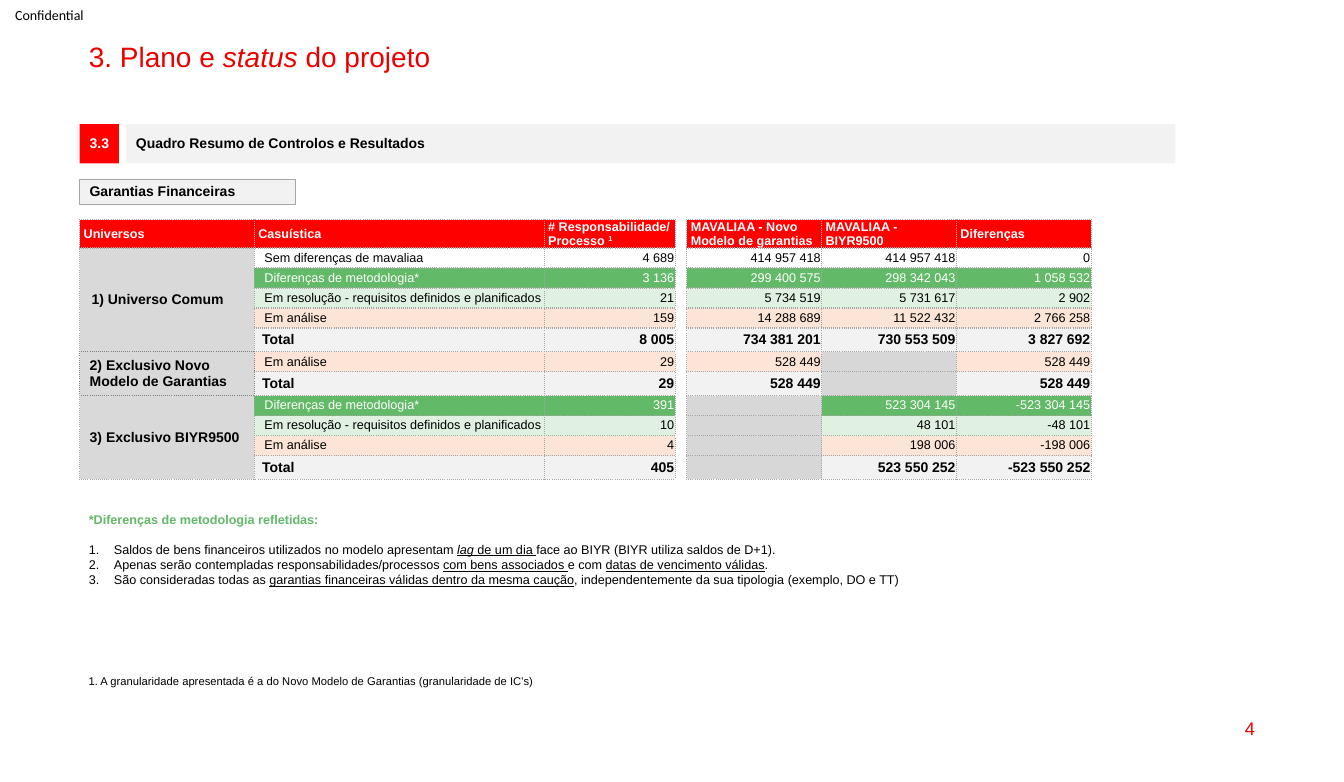
from dataclasses import dataclass
from typing import NamedTuple

from lxml.etree import SubElement
from pptx import Presentation
from pptx.dml.color import RGBColor
from pptx.enum.shapes import MSO_SHAPE
from pptx.enum.text import MSO_ANCHOR, MSO_AUTO_SIZE, PP_ALIGN
from pptx.oxml.ns import qn
from pptx.util import Pt

RED, TITLE_RED, GREEN = "FF0000", "EB0000", "62B967"
BLACK, WHITE = "000000", "FFFFFF"
PALE_GREEN, PEACH, PALE_GREY = "E0F1E1", "FCE4D6", "F2F2F2"
LABEL_GREY, EMPTY_GREY, BORDER, DARK_BORDER = "D9D9D9", "D7D7D7", "A6A6A6", "808080"


class Run(NamedTuple):
    text: str
    italic: bool = False
    underline: bool = False
    superscript: bool = False


class Area(NamedTuple):
    left: float
    top: float
    width: float
    height: float


@dataclass
class Style:
    size: float
    color: str = BLACK
    bold: bool = False
    align: PP_ALIGN = PP_ALIGN.LEFT
    font: str = "Arial"


class Case(NamedTuple):
    name: str
    fill: str | None


@dataclass
class Universe:
    label: str
    indent: float
    dark_sides: str
    rows: list[tuple[Case, list[str]]]


SAME = Case("Sem diferenças de mavaliaa", None)
METHOD = Case("Diferenças de metodologia*", GREEN)
PENDING = Case("Em resolução - requisitos definidos e planificados", PALE_GREEN)
REVIEW = Case("Em análise", PEACH)
TOTAL = Case("Total", PALE_GREY)

# Values: responsibilities, new model, BIYR9500, differences
UNIVERSES = [
    Universe("1) Universo Comum", 8.6, "B", [
        (SAME, ["4 689", "414 957 418", "414 957 418", "0"]),
        (METHOD, ["3 136", "299 400 575", "298 342 043", "1 058 532"]),
        (PENDING, ["21", "5 734 519", "5 731 617", "2 902"]),
        (REVIEW, ["159", "14 288 689", "11 522 432", "2 766 258"]),
        (TOTAL, ["8 005", "734 381 201", "730 553 509", "3 827 692"])]),
    Universe("2) Exclusivo Novo Modelo de Garantias", 7.2, "LRTB", [
        (REVIEW, ["29", "528 449", "", "528 449"]),
        (TOTAL, ["29", "528 449", "", "528 449"])]),
    Universe("3) Exclusivo BIYR9500", 7.2, "T", [
        (METHOD, ["391", "", "523 304 145", "-523 304 145"]),
        (PENDING, ["10", "", "48 101", "-48 101"]),
        (REVIEW, ["4", "", "198 006", "-198 006"]),
        (TOTAL, ["405", "", "523 550 252", "-523 550 252"])]),
]
HEADERS = {
    0: [[Run("Universos")]],
    1: [[Run("Casuística")]],
    2: [[Run("# Responsabilidade/")], [Run("Processo "), Run("1", superscript=True)]],
    4: [[Run("MAVALIAA - Novo Modelo de garantias")]],
    5: [[Run("MAVALIAA - BIYR9500")]],
    6: [[Run("Diferenças")]],
}
GAP_COLUMN = 3
VALUE_COLUMNS = (2, 4, 5, 6)
COLUMN_WIDTHS = [124.8, 207, 93.6, 8.3, 96.3, 96.3, 96.3]
HEADER_HEIGHT, ROW_HEIGHT, TOTAL_HEIGHT = 18.8, 14.3, 17

METHOD_NOTES = [
    [Run("Saldos de bens financeiros utilizados no modelo apresentam "),
     Run("lag", italic=True, underline=True), Run(" de um dia ", underline=True),
     Run("face ao BIYR (BIYR utiliza saldos de D+1).")],
    [Run("Apenas serão contempladas responsabilidades/processos "),
     Run("com bens associados ", underline=True), Run("e com "),
     Run("datas de vencimento válidas", underline=True), Run(".")],
    [Run("São consideradas todas as "),
     Run("garantias financeiras válidas dentro da mesma caução", underline=True),
     Run(", independentemente da sua tipologia (exemplo, DO e TT)")],
]


def rgb(color: str) -> RGBColor:
    return RGBColor.from_string(color)


def write(p, runs: list[Run], style: Style) -> None:
    p.alignment = style.align
    for run in runs:
        r = p.add_run()
        r.text = run.text
        r.font.name, r.font.size = style.font, Pt(style.size)
        r.font.bold, r.font.italic = style.bold, run.italic
        r.font.underline = run.underline
        r.font.color.rgb = rgb(style.color)
        if run.superscript:
            r.font._element.set("baseline", "30000")


def place(sp, area: Area, anchor=MSO_ANCHOR.TOP):
    """Move a shape and return its prepared text frame."""
    sp.left, sp.top, sp.width, sp.height = map(Pt, area)
    tf = sp.text_frame
    tf.word_wrap, tf.auto_size, tf.vertical_anchor = True, MSO_AUTO_SIZE.NONE, anchor
    return tf


def add_text(s, area: Area, text: str, style: Style, anchor=MSO_ANCHOR.MIDDLE):
    tf = place(s.shapes.add_textbox(0, 0, 0, 0), area, anchor)
    write(tf.paragraphs[0], [Run(text)], style)
    return tf


def add_bar(s, area: Area, text: str, style: Style, fill: str, line: str | None = None) -> None:
    sp = s.shapes.add_shape(MSO_SHAPE.RECTANGLE, 0, 0, 0, 0)
    sp.shadow.inherit = False
    sp.fill.solid()
    sp.fill.fore_color.rgb = rgb(fill)
    if line:
        sp.line.color.rgb, sp.line.width = rgb(line), Pt(0.75)
    else:
        sp.line.fill.background()
    p = place(sp, area, MSO_ANCHOR.MIDDLE).paragraphs[0]
    p.line_spacing = 0.9
    write(p, [Run(text)], style)


def set_list(p, numbered: bool) -> None:
    pPr = p._p.get_or_add_pPr()
    indent = Pt(18) if numbered else 0
    pPr.set("marL", str(indent))
    pPr.set("indent", str(-indent))
    if numbered:
        SubElement(pPr, qn("a:buFont"), typeface="+mj-lt")
        SubElement(pPr, qn("a:buAutoNum"), type="arabicPeriod")
    else:
        SubElement(pPr, qn("a:buNone"))


def fill_cell(cell, paragraphs: list[list[Run]], style: Style, fill: str | None,
              margins: tuple[float, float] = (0.72, 0.72), sides: str = "LRTB",
              dark_sides: str = "") -> None:
    cell.margin_left, cell.margin_right = map(Pt, margins)
    cell.margin_top = cell.margin_bottom = 0
    cell.vertical_anchor = MSO_ANCHOR.MIDDLE
    for side in sides:
        ln = SubElement(cell._tc.get_or_add_tcPr(), qn(f"a:ln{side}"), w=str(Pt(1)))
        color = DARK_BORDER if side in dark_sides else BORDER
        SubElement(SubElement(ln, qn("a:solidFill")), qn("a:srgbClr"), val=color)
        SubElement(ln, qn("a:prstDash"), val="sysDot")
    if fill:
        cell.fill.solid()
        cell.fill.fore_color.rgb = rgb(fill)
    else:
        cell.fill.background()
    tf = cell.text_frame
    for i, runs in enumerate(paragraphs):
        write(tf.add_paragraph() if i else tf.paragraphs[0], runs, style)
    if not paragraphs:
        SubElement(tf.paragraphs[0]._p, qn("a:endParaRPr"), sz="900")


def add_results_table(s) -> None:
    heights = [HEADER_HEIGHT] + [TOTAL_HEIGHT if case is TOTAL else ROW_HEIGHT
                                 for u in UNIVERSES for case, _ in u.rows]
    table = s.shapes.add_table(len(heights), len(COLUMN_WIDTHS), Pt(56.9), Pt(157),
                               Pt(sum(COLUMN_WIDTHS)), Pt(sum(heights))).table
    table.first_row = table.horz_banding = False
    for column, width in zip(table.columns, COLUMN_WIDTHS):
        column.width = Pt(width)
    for i, height in enumerate(heights):
        table.rows[i].height = Pt(height)
        fill_cell(table.cell(i, GAP_COLUMN), [], Style(9), None, sides="LR")
    for column, paragraphs in HEADERS.items():
        fill_cell(table.cell(0, column), paragraphs, Style(9, WHITE, True), RED, (2.9, 2.9))
    row = 1
    for u in UNIVERSES:
        last = row + len(u.rows) - 1
        table.cell(row, 0).merge(table.cell(last, 0))
        for i, (case, values) in enumerate(u.rows):
            label = [] if i else [[Run(u.label)]]
            fill_cell(table.cell(row, 0), label, Style(10, bold=True), LABEL_GREY,
                      (u.indent, 7.2), dark_sides=u.dark_sides)
            total = case is TOTAL
            color = WHITE if case is METHOD else BLACK
            size = 10 if total else 9
            fill_cell(table.cell(row, 1), [[Run(case.name)]], Style(size, color, total),
                      case.fill, (5.6 if total else 7.2, 0.72),
                      dark_sides="L" if "R" in u.dark_sides else "")
            for column, value in zip(VALUE_COLUMNS, values):
                fill_cell(table.cell(row, column), [[Run(value)]] if value else [],
                          Style(size, color, total, PP_ALIGN.RIGHT),
                          case.fill if value else EMPTY_GREY)
            row += 1


def main() -> None:
    prs = Presentation()
    prs.slide_width, prs.slide_height = Pt(960), Pt(558.72)
    s = prs.slides.add_slide(prs.slide_layouts[1])

    p = place(s.shapes.title, Area(56.2, 27.4, 847.4, 24.5)).paragraphs[0]
    p.line_spacing = 0.9
    write(p, [Run("3. Plano e "), Run("status", italic=True), Run(" do projeto")],
          Style(20, TITLE_RED))

    tf = place(s.placeholders[1], Area(56.2, 362.2, 759.6, 108))
    for i, runs in enumerate([[Run("*Diferenças de metodologia refletidas:")]] + METHOD_NOTES):
        p = tf.add_paragraph() if i else tf.paragraphs[0]
        p.space_before = Pt(10.4 if i == 1 else 0)
        set_list(p, numbered=i > 0)
        write(p, runs, Style(9) if i else Style(9, GREEN, True))

    tf = add_text(s, Area(0, 0, 71.3, 20.9), "Confidential", Style(10, font="Calibri"))
    tf.margin_left = Pt(10.8)
    tf.margin_right = tf.margin_top = tf.margin_bottom = 0
    add_text(s, Area(687.6, 505.4, 216, 29.5), "4", Style(13, TITLE_RED, align=PP_ALIGN.RIGHT))
    add_text(s, Area(56.2, 478.1, 342, 17.3), "1. A granularidade apresentada é a do Novo "
             "Modelo de Garantias (granularidade de IC’s)", Style(8), MSO_ANCHOR.TOP)

    heading = Style(10, bold=True)
    add_bar(s, Area(56.9, 88.6, 28.1, 28.1), "3.3", Style(10, WHITE, True, PP_ALIGN.CENTER), RED)
    add_bar(s, Area(90, 88.6, 749.5, 28.1), "Quadro Resumo de Controlos e Resultados",
            heading, PALE_GREY)
    add_bar(s, Area(56.9, 128.2, 154.1, 18), "Garantias Financeiras", heading, PALE_GREY, BORDER)
    add_results_table(s)
    prs.save("out.pptx")


if __name__ == "__main__":
    main()
